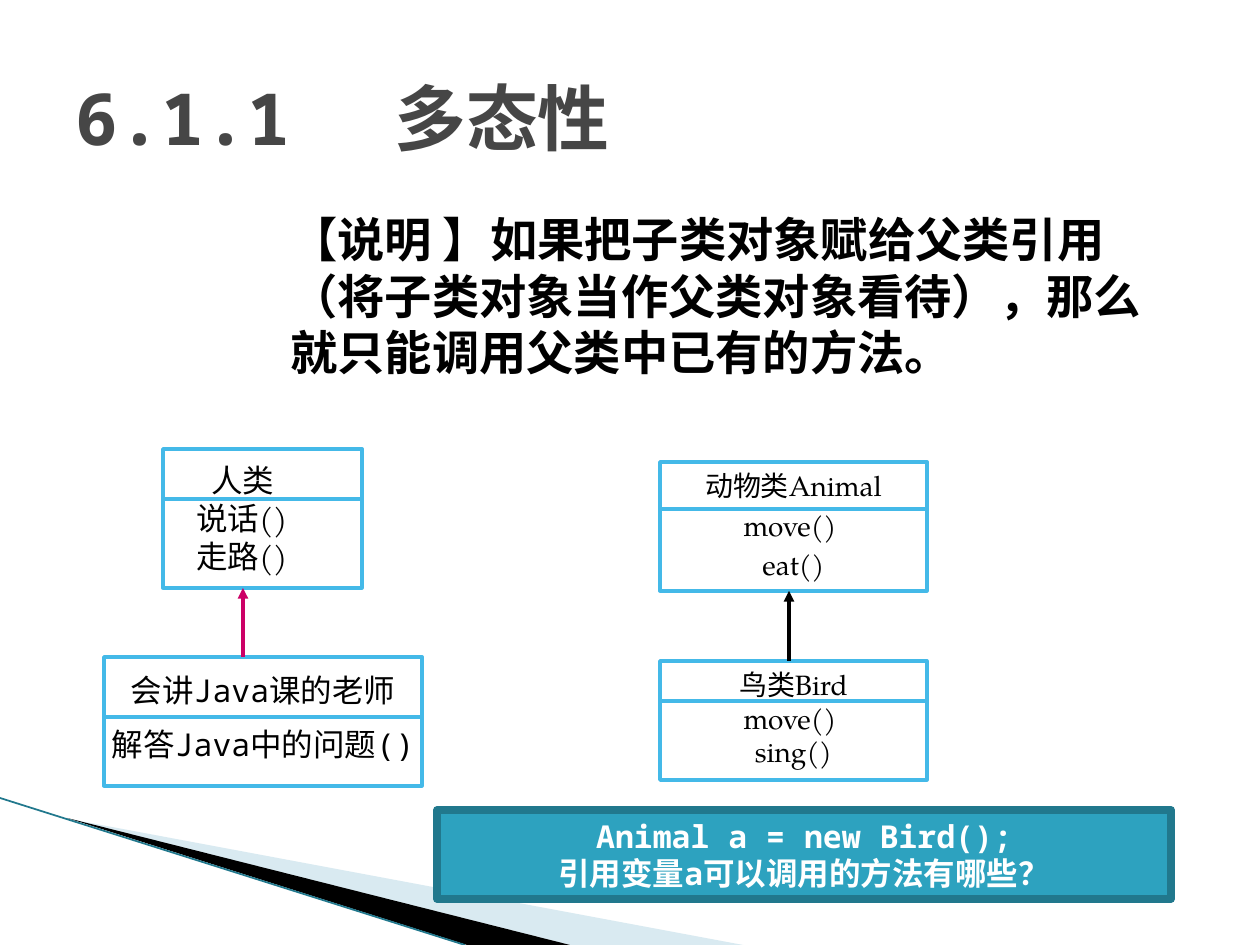
from lxml import etree
from pptx import Presentation
from pptx.dml.color import RGBColor
from pptx.enum.shapes import MSO_CONNECTOR, MSO_SHAPE
from pptx.enum.text import MSO_ANCHOR, PP_ALIGN
from pptx.oxml.ns import qn
from pptx.util import Pt

RECT, STRAIGHT = MSO_SHAPE.RECTANGLE, MSO_CONNECTOR.STRAIGHT
LEFT, CENTER = PP_ALIGN.LEFT, PP_ALIGN.CENTER
TOP, MIDDLE = MSO_ANCHOR.TOP, MSO_ANCHOR.MIDDLE

PX = 914400 / 126  # EMU per px
MONO, SERIF = "Noto Sans Mono", "TeX Gyre Pagella"
BLACK = RGBColor(0x00, 0x00, 0x00)
WHITE = RGBColor(0xFF, 0xFF, 0xFF)
GRAY = RGBColor(0x46, 0x46, 0x46)
SKY = RGBColor(0x44, 0xB9, 0xE8)
TEAL = RGBColor(0x2D, 0xA2, 0xBF)
DARK_TEAL = RGBColor(0x21, 0x78, 0x8D)
PALE = RGBColor(0xA0, 0xCB, 0xDC)
MAGENTA = RGBColor(0xCC, 0x00, 0x66)


def px(*values):
    return [round(v * PX) for v in values]


def set_indent(p, left):
    p._p.get_or_add_pPr().set("marL", str(px(left)[0]))


def write(tf, lines, size, font, color, bold=False, align=LEFT, anchor=TOP, wrap=True):
    tf.word_wrap = wrap
    tf.vertical_anchor = anchor
    for i, text in enumerate(lines):
        p = tf.paragraphs[0] if i == 0 else tf.add_paragraph()
        p.text = text
        p.alignment = align
        p.font.size, p.font.name, p.font.bold = Pt(size), font, bold
        p.font.color.rgb = color


def add_text(s, box, *args, **kwargs):
    tf = s.shapes.add_textbox(*px(*box)).text_frame
    write(tf, *args, **kwargs)
    return tf.paragraphs[0]


def add_box(s, box, line, width, fill=None):
    sp = s.shapes.add_shape(RECT, *px(*box))
    sp.shadow.inherit = False
    sp.line.color.rgb, sp.line.width = line, Pt(width)
    if fill is None:
        sp.fill.background()
    else:
        sp.fill.solid()
        sp.fill.fore_color.rgb = fill
    return sp.text_frame


def add_line(s, x1, y1, x2, y2, color, width=2, arrow=False):
    c = s.shapes.add_connector(STRAIGHT, *px(x1, y1, x2, y2))
    c.line.color.rgb, c.line.width = color, Pt(width)
    if arrow:
        etree.SubElement(c.line._get_or_add_ln(), qn("a:tailEnd"), type="triangle")
    etree.SubElement(c._element.spPr, qn("a:effectLst"))


def add_wedge(s, points, color, alpha=None):
    fb = s.shapes.build_freeform(*points[0], scale=PX)
    fb.add_line_segments(points[1:])
    sp = fb.convert_to_shape()
    sp.shadow.inherit = False
    sp.line.fill.background()
    sp.fill.solid()
    sp.fill.fore_color.rgb = color
    if alpha is not None:
        clr = sp._element.spPr.find(".//" + qn("a:srgbClr"))
        etree.SubElement(clr, qn("a:alpha"), val=str(alpha * 1000))


def add_class(s, box, divider, lines, size, font, gap=0, spacing=1.2, inset=6, indents=()):
    """UML class: outlined box, name and methods, divider below the name."""
    x, _, w, _ = box
    tf = add_box(s, box, SKY, 2)
    tf.margin_top = px(inset)[0]
    write(tf, lines, size, font, BLACK, align=LEFT if indents else CENTER, wrap=bool(indents))
    tf.paragraphs[0].line_spacing = spacing
    for p in tf.paragraphs[1:]:
        p.space_before = Pt(gap)
    for p, left in zip(tf.paragraphs, indents):
        set_indent(p, left)
    add_line(s, x, divider, x + w, divider, SKY)


def main():
    prs = Presentation()
    prs.slide_width, prs.slide_height = px(1260, 945)
    s = prs.slides.add_slide(prs.slide_layouts[6])

    # Corner decoration
    add_wedge(s, [(69, 819), (743, 945), (570, 945)], PALE, alpha=40)
    add_wedge(s, [(67, 818), (570, 945), (467, 945)], BLACK)
    add_line(s, 0, 798, 465, 945, DARK_TEAL, 1)

    # Title and explanation
    p = add_text(s, (63, 38, 1134, 158), ["6.1.1\t多态性"], 41, MONO, GRAY,
                 bold=True, anchor=MIDDLE)
    tabs = etree.Element(qn("a:tabLst"))
    etree.SubElement(tabs, qn("a:tab"), pos=str(px(319)[0]), algn="l")
    p._p.get_or_add_pPr().insert(0, tabs)
    p = add_text(s, (263, 204, 934, 179),
                 ["【说明 】如果把子类对象赋给父类引用（将子类对象当作父类对象看待），"
                  "那么就只能调用父类中已有的方法。"], 27, MONO, BLACK, bold=True)
    set_indent(p, 15)

    # Person and teacher classes
    add_class(s, (163, 449, 199, 139), 499, ["人类", "说话()", "走路()"],
              18, SERIF, inset=5, indents=(36, 21, 21))
    add_class(s, (104, 657, 318, 129), 717, ["会讲Java课的老师", "解答Java中的问题()"],
              18, MONO, gap=9, inset=7)
    add_line(s, 243, 657, 243, 588, MAGENTA, arrow=True)

    # Animal and bird classes
    add_class(s, (660, 462, 267, 129), 509, ["动物类Animal", "move() ", "eat()"],
              16, SERIF, gap=3.2, spacing=1, inset=7)
    add_class(s, (660, 661, 267, 119), 701, ["鸟类Bird", "move() ", "sing()"],
              16, SERIF, inset=0)
    add_line(s, 789, 661, 789, 591, BLACK, arrow=True)

    # Question
    tf = add_box(s, (437, 810, 734, 89), DARK_TEAL, 4.33, TEAL)
    write(tf, ["Animal a = new Bird();", "引用变量a可以调用的方法有哪些？"], 18, MONO, WHITE,
          bold=True, align=CENTER, anchor=MIDDLE)

    prs.save("out.pptx")


if __name__ == "__main__":
    main()
